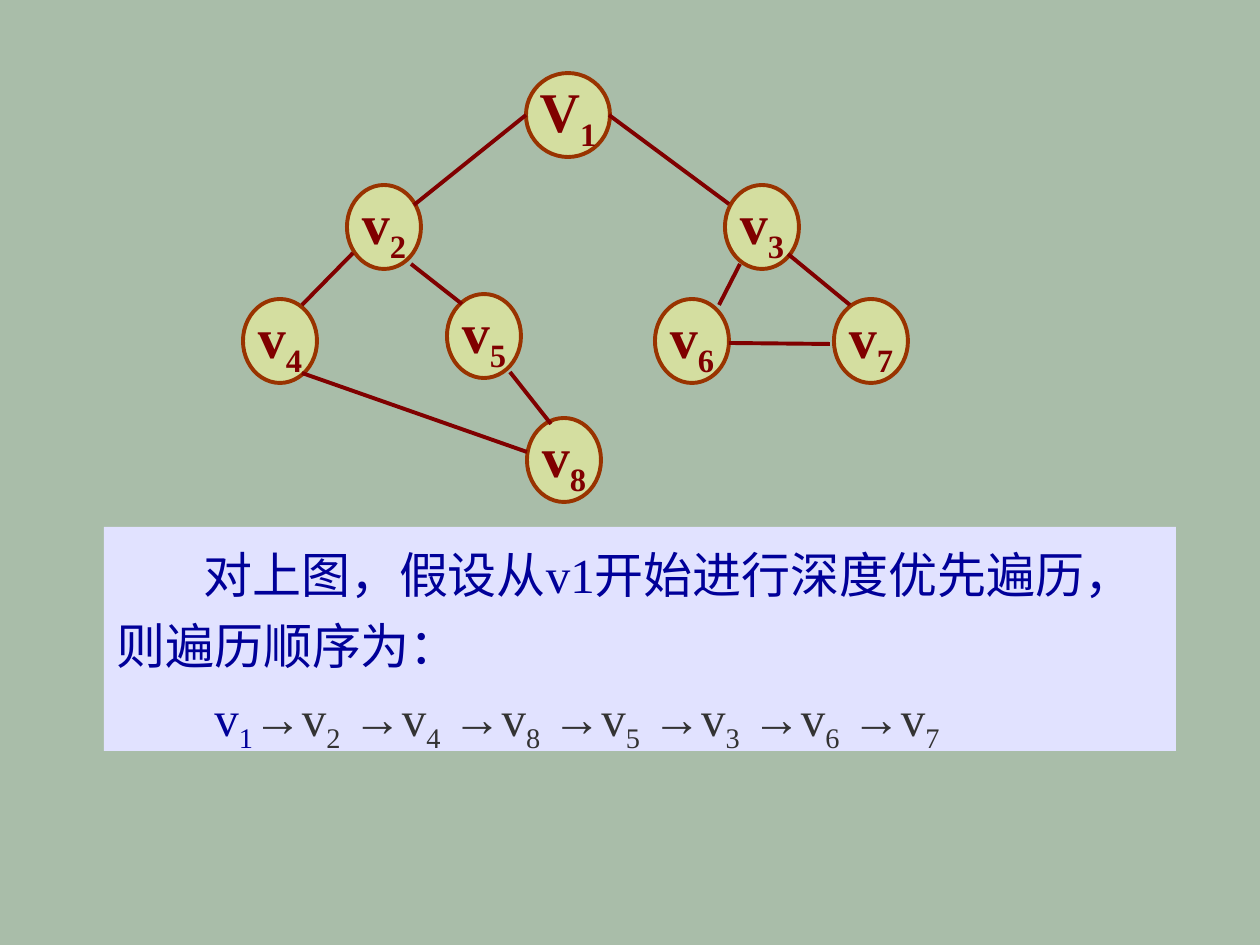
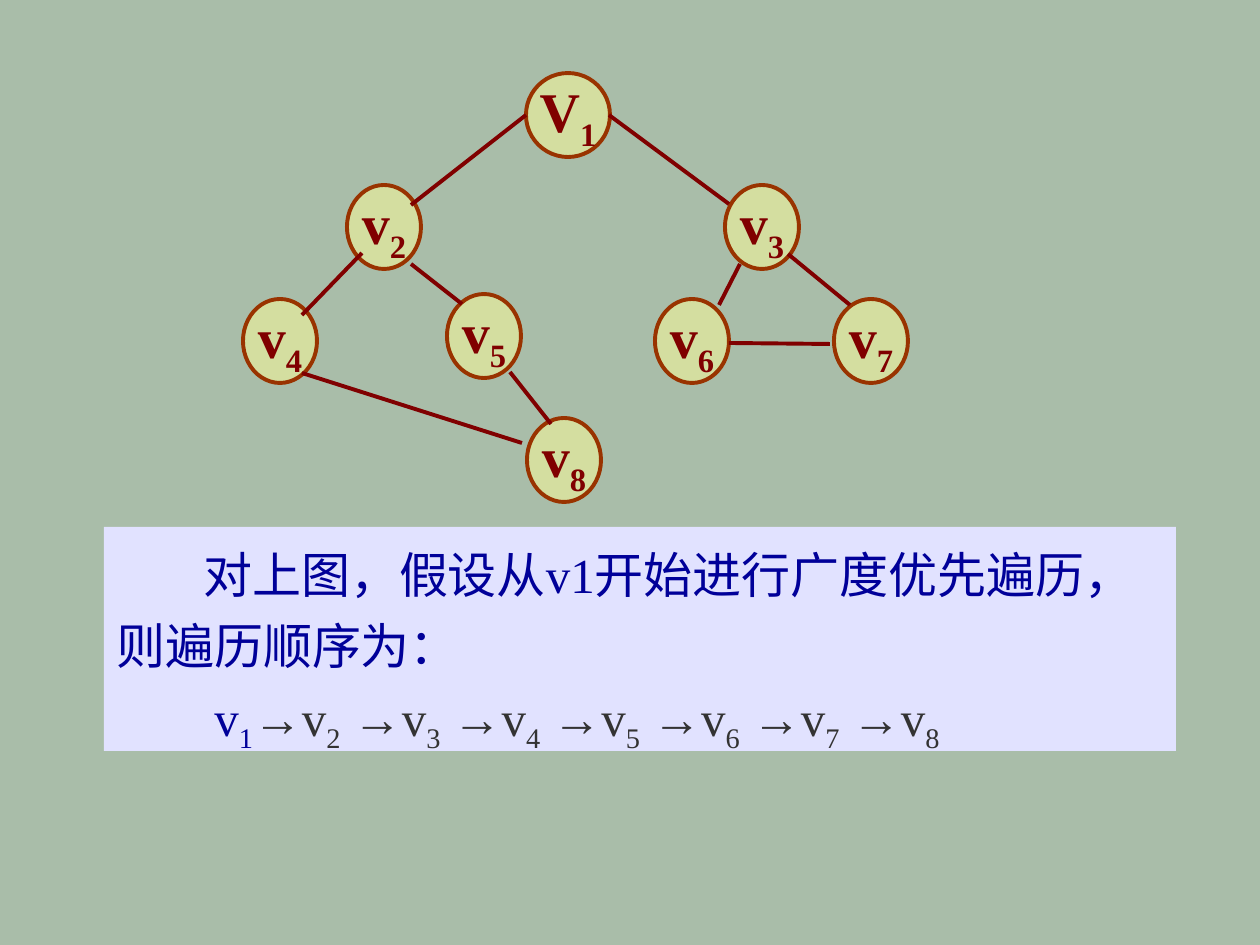
from pptx import Presentation
from pptx.dml.color import RGBColor
from pptx.enum.shapes import MSO_CONNECTOR, MSO_SHAPE
from pptx.enum.text import MSO_ANCHOR, MSO_AUTO_SIZE, PP_ALIGN
from pptx.oxml.ns import qn
from pptx.util import Pt
from lxml import etree

OVAL, RECT = MSO_SHAPE.OVAL, MSO_SHAPE.RECTANGLE
LINE = MSO_CONNECTOR.STRAIGHT
TOP, MIDDLE = MSO_ANCHOR.TOP, MSO_ANCHOR.MIDDLE
LEFT, CENTER = PP_ALIGN.LEFT, PP_ALIGN.CENTER
GROW = MSO_AUTO_SIZE.SHAPE_TO_FIT_TEXT

SAGE = RGBColor(0xA9, 0xBD, 0xA9)
YELLOW = RGBColor(0xFF, 0xFF, 0x99)
RUST = RGBColor(0x99, 0x33, 0x00)
MAROON = RGBColor(0x80, 0x00, 0x00)
LILAC = RGBColor(0xE1, 0xE2, 0xFF)
NAVY = RGBColor(0x00, 0x00, 0x99)
GREY = RGBColor(0x33, 0x33, 0x33)
FONT = "Times New Roman"
SCALE = 914400 / 126  # EMU per px

# number: (letter, centre x, centre y, width)
NODES = {
    1: ("V", 568, 115, 84),
    2: ("v", 384, 227, 74),
    3: ("v", 762, 227, 74),
    4: ("v", 280, 341, 74),
    5: ("v", 484, 336, 74),
    6: ("v", 692, 341, 74),
    7: ("v", 871, 341, 74),
    8: ("v", 564, 460, 74),
}
NODE_H = 84

# (from node, to node): x1, y1, x2, y2
EDGES = {
    (1, 2): (526, 115, 414, 205),
    (1, 3): (609, 115, 729, 204),
    (2, 4): (353, 253, 302, 305),
    (2, 5): (411, 264, 462, 304),
    (3, 6): (740, 264, 719, 305),
    (3, 7): (788, 254, 850, 305),
    (4, 8): (302, 373, 527, 452),
    (5, 8): (510, 372, 551, 424),
    (6, 7): (729, 343, 830, 344),
}
BOX = (104, 527, 1072, 224)
LEAD, STEP_LEAD = 87, 98  # first-line indents

# sentence, visiting order, edges that end elsewhere
SLIDES = [
    ("对上图，假设从v1开始进行深度优先遍历，则遍历顺序为：",
     (1, 2, 4, 8, 5, 3, 6, 7), {}),
    ("对上图，假设从v1开始进行广度优先遍历，则遍历顺序为：",
     (1, 2, 3, 4, 5, 6, 7, 8),
     {(1, 2): (526, 115, 411, 205),
      (2, 4): (362, 253, 302, 315),
      (4, 8): (302, 373, 522, 443)}),
]


def emu(*px):
    return [round(p * SCALE) for p in px]


def add_run(para, text, color=None, sub=False):
    run = para.add_run()
    run.text = text
    if color is not None:
        run.font.color.rgb = color
    if sub:
        run._r.get_or_add_rPr().set("baseline", "-25000")


def style(para, size, color, align, bold=False):
    para.alignment = align
    font = para.font
    font.name, font.size, font.bold = FONT, Pt(size), bold
    font.color.rgb = color


def add_shape(slide, kind, box, fill, anchor):
    shape = slide.shapes.add_shape(kind, *emu(*box))
    shape.shadow.inherit = False
    shape.fill.solid()
    shape.fill.fore_color.rgb = fill
    shape.text_frame.vertical_anchor = anchor
    return shape


def add_node(slide, num):
    letter, x, y, width = NODES[num]
    box = (x - width / 2, y - NODE_H / 2, width, NODE_H)
    node = add_shape(slide, OVAL, box, YELLOW, MIDDLE)
    color = node._element.spPr.find(qn("a:solidFill")).find(qn("a:srgbClr"))
    etree.SubElement(color, qn("a:alpha")).set("val", "50000")
    node.line.color.rgb = RUST
    node.line.width = Pt(2.25)
    node.text_frame.word_wrap = False
    para = node.text_frame.paragraphs[0]
    style(para, 32, MAROON, CENTER, bold=True)
    add_run(para, letter)
    add_run(para, str(num), sub=True)


def add_edge(slide, ends):
    edge = slide.shapes.add_connector(LINE, *emu(*ends))
    edge.line.color.rgb = MAROON
    edge.line.width = Pt(2.25)
    etree.SubElement(edge._element.spPr, qn("a:effectLst"))


def add_answer(slide, sentence, order):
    box = add_shape(slide, RECT, BOX, LILAC, TOP)
    box.line.fill.background()
    frame = box.text_frame
    frame.word_wrap = True
    frame.auto_size = GROW
    intro, steps = frame.paragraphs[0], frame.add_paragraph()
    for para, lead in ((intro, LEAD), (steps, STEP_LEAD)):
        style(para, 28, NAVY, LEFT)
        para.line_spacing = 1.2
        para._p.get_or_add_pPr().set("indent", str(emu(lead)[0]))
    add_run(intro, sentence, NAVY)
    for i, num in enumerate(order):
        color = GREY if i else NAVY
        add_run(steps, ("v", "→v")[i] if i < 2 else " →v", color)
        add_run(steps, str(num), color, sub=True)


def main():
    prs = Presentation()
    prs.slide_width, prs.slide_height = emu(1260, 945)
    back = prs.slide_master.background.fill
    back.solid()
    back.fore_color.rgb = SAGE
    for sentence, order, moved in SLIDES:
        slide = prs.slides.add_slide(prs.slide_layouts[6])
        for num in NODES:
            add_node(slide, num)
        for ends in (EDGES | moved).values():
            add_edge(slide, ends)
        add_answer(slide, sentence, order)
    prs.save("out.pptx")


if __name__ == "__main__":
    main()
